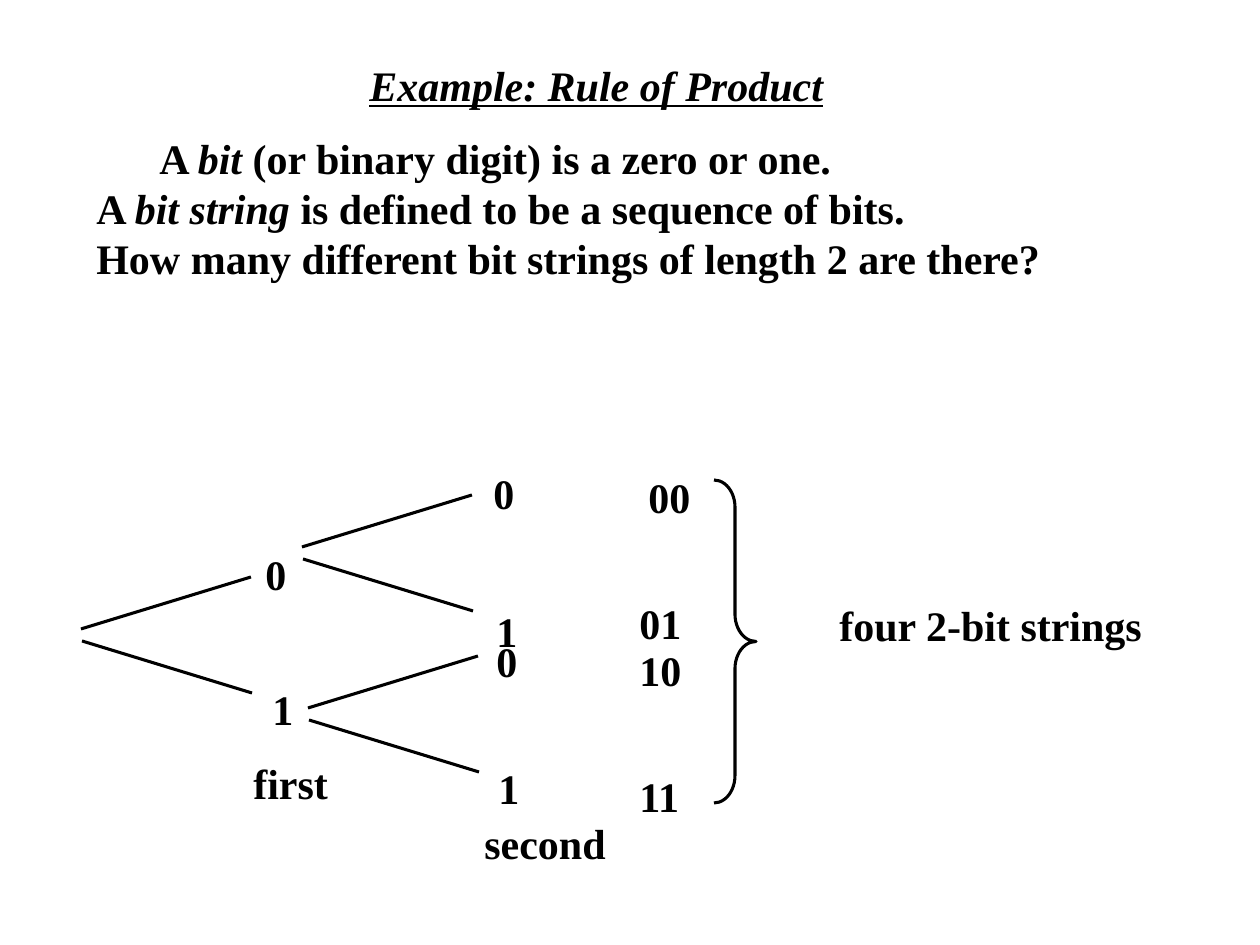
from dataclasses import dataclass

from lxml.etree import SubElement
from pptx import Presentation
from pptx.dml.color import RGBColor
from pptx.enum.shapes import MSO_CONNECTOR, MSO_SHAPE
from pptx.enum.text import MSO_AUTO_SIZE
from pptx.oxml.ns import qn
from pptx.slide import Slide
from pptx.util import Emu, Pt

BLACK = RGBColor(0, 0, 0)
WHITE = RGBColor(255, 255, 255)
LABEL_HEIGHT = 63
DIGIT_WIDTH = 46
PAIR_WIDTH = 68
HANGING_INDENT = 63
BRANCH_RUN = 170
BRANCH_RISE = 52
FORK_GAP = 12

PARAGRAPHS = [
    [("\tA ", False), ("bit", True), (" (or binary digit) is a zero or one.", False)],
    [("A ", False), ("bit string", True), (" is defined to be a sequence of bits.", False)],
    [("How many different bit strings of length 2 are there?", False)],
]
LABELS = [
    ("second", 472, 811, 148),
    ("0", 253, 542, DIGIT_WIDTH),
    ("1", 260, 677, DIGIT_WIDTH),
    ("first", 241, 751, 100),
    ("0", 481, 461, DIGIT_WIDTH),
    ("1", 484, 599, DIGIT_WIDTH),
    ("0", 484, 629, DIGIT_WIDTH),
    ("1", 486, 756, DIGIT_WIDTH),
    ("00", 636, 465, PAIR_WIDTH),
    ("01", 627, 591, PAIR_WIDTH),
    ("10", 627, 638, PAIR_WIDTH),
    ("11", 627, 764, PAIR_WIDTH),
    ("four 2-bit strings", 827, 593, 339),
]
FORKS = [(81, 629), (302, 547), (308, 708)]


def px(length):
    return Emu(round(length * 914400 / 126))


@dataclass
class Canvas:
    slide: Slide
    font_name: str = "Times New Roman"
    font_size: int = 24
    line_width: float = 1.75

    def style_font(self, paragraph):
        font = paragraph.font
        font.name = self.font_name
        font.size = Pt(self.font_size)
        font.bold = True
        font.color.rgb = BLACK
        return font

    def style_line(self, shape):
        shape.line.color.rgb = BLACK
        shape.line.width = Pt(self.line_width)

    def text_frame(self, left, top, width, height, wrap):
        box = self.slide.shapes.add_textbox(px(left), px(top), px(width), px(height))
        box.text_frame.word_wrap = wrap
        box.text_frame.auto_size = MSO_AUTO_SIZE.SHAPE_TO_FIT_TEXT
        return box.text_frame

    def label(self, text, left, top, width):
        paragraph = self.text_frame(left, top, width, LABEL_HEIGHT, False).paragraphs[0]
        paragraph.text = text
        return self.style_font(paragraph)

    def body(self, paragraphs, left, top, width, height):
        frame = self.text_frame(left, top, width, height, True)
        for index, runs in enumerate(paragraphs):
            paragraph = frame.add_paragraph() if index else frame.paragraphs[0]
            properties = paragraph._p.get_or_add_pPr()
            properties.set("marL", str(px(HANGING_INDENT)))
            properties.set("indent", str(-px(HANGING_INDENT)))
            self.style_font(paragraph)
            for text, italic in runs:
                run = paragraph.add_run()
                run.text = text
                run.font.italic = italic

    def line(self, x1, y1, x2, y2):
        connector = self.slide.shapes.add_connector(
            MSO_CONNECTOR.STRAIGHT, px(x1), px(y1), px(x2), px(y2))
        self.style_line(connector)
        SubElement(connector._element.spPr, qn("a:effectLst"))

    def fork(self, x, y):
        self.line(x + 1, y + FORK_GAP, x + 1 + BRANCH_RUN, y + FORK_GAP + BRANCH_RISE)
        self.line(x, y, x + BRANCH_RUN, y - BRANCH_RISE)

    def brace(self, left, top, width, height):
        shape = self.slide.shapes.add_shape(
            MSO_SHAPE.RIGHT_BRACE, px(left), px(top), px(width), px(height))
        shape.adjustments[0] = 0.65
        shape.shadow.inherit = False
        shape.fill.background()
        self.style_line(shape)


def main():
    presentation = Presentation()
    presentation.slide_width = px(1260)
    presentation.slide_height = px(945)
    slide = presentation.slides.add_slide(presentation.slide_layouts[6])
    slide.background.fill.solid()
    slide.background.fill.fore_color.rgb = WHITE
    canvas = Canvas(slide)

    canvas.body(PARAGRAPHS, 84, 126, 1124, 214)
    title_font = canvas.label("Example: Rule of Product ", 357, 53, 489)
    title_font.italic = True
    title_font.underline = True
    for label in LABELS:
        canvas.label(*label)
    canvas.brace(714, 480, 42, 323)
    for fork in FORKS:
        canvas.fork(*fork)

    presentation.save("out.pptx")


if __name__ == "__main__":
    main()
